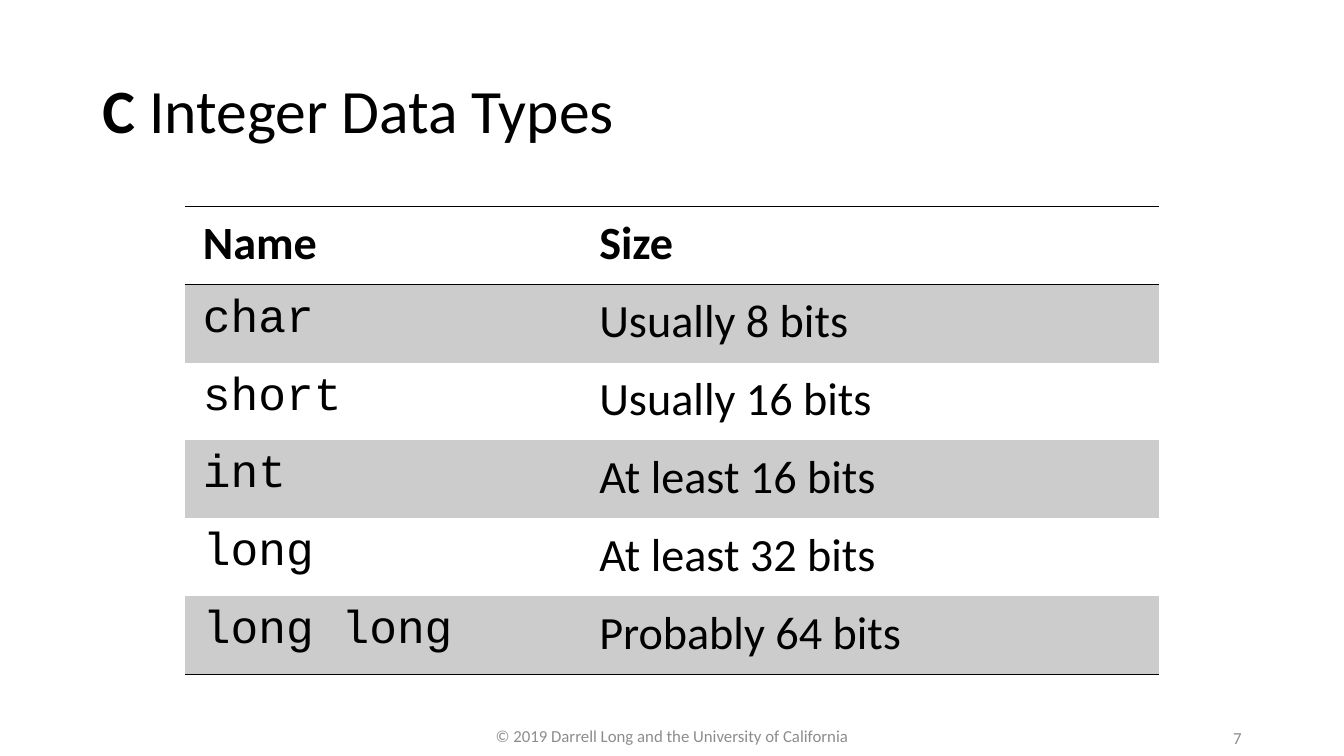
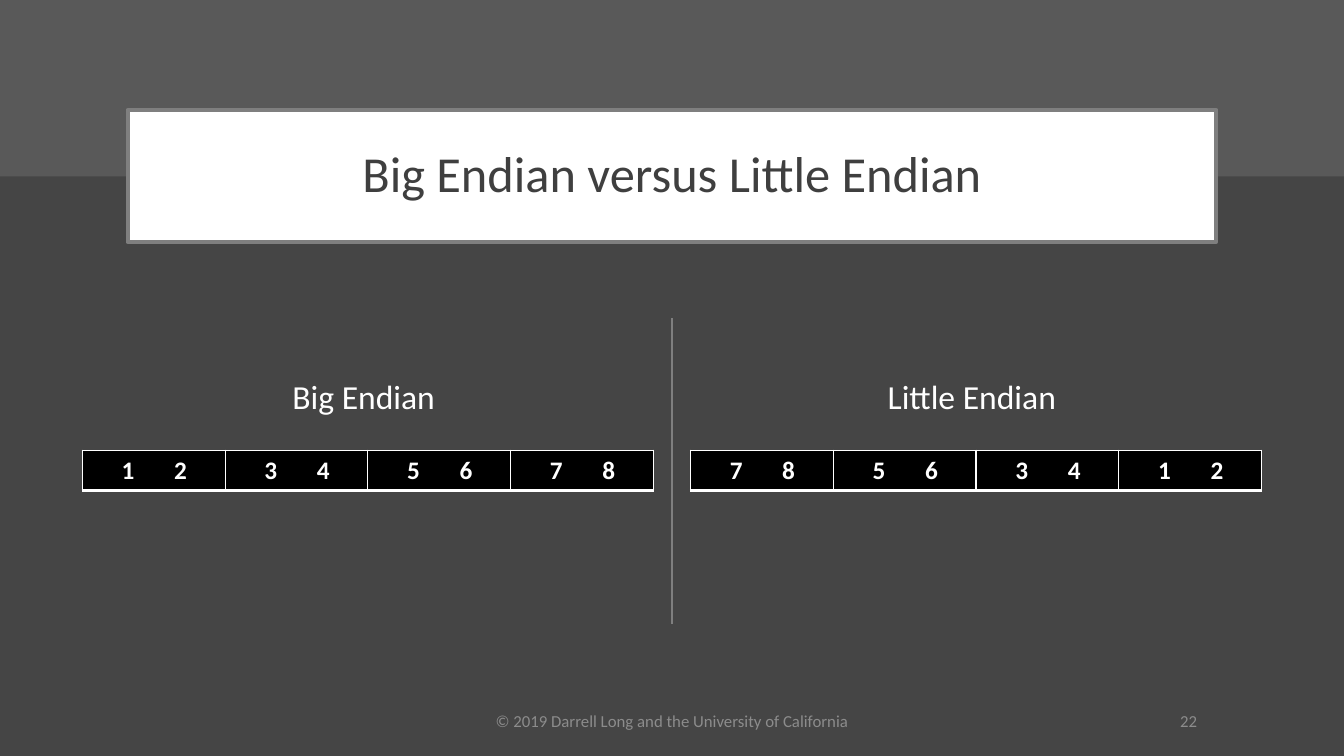
from dataclasses import dataclass

from lxml.etree import SubElement
from pptx import Presentation
from pptx.dml.color import RGBColor
from pptx.enum.shapes import MSO_CONNECTOR as Connector, MSO_SHAPE as Preset
from pptx.enum.text import MSO_ANCHOR as Anchor, MSO_AUTO_SIZE as AutoSize, PP_ALIGN as Align
from pptx.oxml import parse_xml
from pptx.oxml.ns import nsdecls, qn
from pptx.util import Inches, Pt


@dataclass(frozen=True)
class Theme:
    black: str = "000000"
    white: str = "FFFFFF"
    stripe: str = "CCCCCC"
    dark: str = "454545"
    band: str = "595959"
    rule: str = "7F7F7F"
    title_dark: str = "3F3F3F"
    footer: str = "8C8C8C"
    body_font: str = "Calibri"
    code_font: str = "Courier New"
    title_size: int = 44
    framed_title_size: int = 36
    table_size: int = 33
    label_size: int = 24
    byte_size: int = 18
    footer_size: int = 12


THEME = Theme()
WIDTH, HEIGHT = Inches(13.33), Inches(7.5)
COLUMNS, ROWS = 16, 9
COPYRIGHT = "© 2019 Darrell Long and the University of California"


@dataclass(frozen=True)
class Box:
    """A region measured in grid columns and rows."""
    left: float
    top: float
    width: float
    height: float

    def inner(self, left, top, width, height):
        return Box(self.left + left, self.top + top, width, height)

    @property
    def lengths(self):
        return (int(self.left * WIDTH / COLUMNS), int(self.top * HEIGHT / ROWS),
                int(self.width * WIDTH / COLUMNS), int(self.height * HEIGHT / ROWS))


def rgb(color):
    return RGBColor.from_string(color)


# Text
def write(frame, text, size, color=THEME.black, font=THEME.body_font, bold=False,
          bold_lead="", align=Align.LEFT, spacing=None, tab=None):
    paragraph = frame.paragraphs[0]
    if tab:
        tabs = SubElement(paragraph._p.get_or_add_pPr(), qn("a:tabLst"))
        SubElement(tabs, qn("a:tab"), pos=str(tab), algn="l")
    paragraph.alignment = align
    if spacing:
        paragraph.line_spacing = spacing
    for part, heavy in ((bold_lead, True), (text, bold)):
        if part:
            run = paragraph.add_run()
            run.text = part
            run.font.name = font
            run.font.size = Pt(size)
            run.font.bold = heavy
            run.font.color.rgb = rgb(color)


def add_text(slide, box, text, size, anchor=Anchor.MIDDLE, **text_format):
    frame = slide.shapes.add_textbox(*box.lengths).text_frame
    frame.word_wrap = True
    frame.vertical_anchor = anchor
    write(frame, text, size, **text_format)


def set_title(slide, box, text, size, **text_format):
    title = slide.shapes.title
    title.left, title.top, title.width, title.height = box.lengths
    frame = title.text_frame
    frame.word_wrap = True
    frame.auto_size = AutoSize.NONE
    frame.vertical_anchor = Anchor.MIDDLE
    write(frame, text, size, spacing=0.9, **text_format)
    return title


# Tables
def add_table(slide, box, row_count, shares):
    left, top, width, height = box.lengths
    table = slide.shapes.add_table(row_count, len(shares), left, top, width, height).table
    table.first_row = table.horz_banding = False
    for column, share in zip(table.columns, shares):
        column.width = int(width * share / sum(shares))
    for row in table.rows:
        row.height = height // row_count
    return table


def format_cell(cell, fill=None, borders=None, color=THEME.black, margins=(0.1, 0.05)):
    """Borders map a side (L, R, T, B) to a width in points."""
    cell.margin_left = cell.margin_right = Inches(margins[0])
    cell.margin_top = cell.margin_bottom = Inches(margins[1])
    if fill:
        cell.fill.solid()
        cell.fill.fore_color.rgb = rgb(fill)
    else:
        cell.fill.background()
    properties = cell._tc.get_or_add_tcPr()
    for index, side in enumerate("LRTB"):
        points = (borders or {}).get(side, 0)
        paint = (f'<a:solidFill><a:srgbClr val="{color}"/></a:solidFill>'
                 if points else "<a:noFill/>")
        line = f'<a:ln{side} {nsdecls("a")} w="{Pt(points)}">{paint}</a:ln{side}>'
        properties.insert(index, parse_xml(line))


def add_type_table(slide, box, header, types):
    rows = [header, *types]
    table = add_table(slide, box, len(rows), (3.93, 5.73))
    for row_index, row in enumerate(rows):
        is_header = row_index == 0
        borders = {"T": 1, "B": 1} if is_header else {}
        if row_index == 1:
            borders["T"] = 1
        if row_index == len(rows) - 1:
            borders["B"] = 1
        for column_index, text in enumerate(row):
            cell = table.cell(row_index, column_index)
            is_code = column_index == 0 and not is_header
            format_cell(cell, THEME.stripe if row_index % 2 else None, borders,
                        margins=(0.18, 0.09))
            write(cell.text_frame, text, THEME.table_size, bold=is_header,
                  font=THEME.code_font if is_code else THEME.body_font)


def add_byte_panel(slide, box, label, byte_pairs):
    add_text(slide, box.inner(0, 0, box.width - 0.1, 0.6), label, THEME.label_size,
             color=THEME.white, align=Align.CENTER, anchor=Anchor.TOP)
    table = add_table(slide, box.inner(0, 0.94, box.width, 0.48), 1, [1] * len(byte_pairs))
    for index, digits in enumerate(byte_pairs):
        cell = table.cell(0, index)
        format_cell(cell, THEME.black, {"L": 1, "R": 1, "T": 1, "B": 3}, THEME.white)
        cell.margin_left = Inches(0.39)
        write(cell.text_frame, "\t".join(digits), THEME.byte_size, color=THEME.white,
              bold=True, tab=Inches(0.52))


# Shared footer
def add_footer(slide, copyright_box, number_box, number):
    for box, text, align in ((copyright_box, COPYRIGHT, Align.CENTER),
                             (number_box, number, Align.RIGHT)):
        add_text(slide, box, text, THEME.footer_size, color=THEME.footer, align=align)


def new_slide(presentation, background):
    slide = presentation.slides.add_slide(presentation.slide_layouts[5])
    slide.background.fill.solid()
    slide.background.fill.fore_color.rgb = rgb(background)
    return slide


# Slides
def build_types_slide(presentation):
    slide = new_slide(presentation, THEME.white)
    set_title(slide, Box(1.1, 0.48, 13.8, 1.74), " Integer Data Types",
              THEME.title_size, bold_lead="C")
    add_type_table(slide, Box(2.2, 2.46, 11.6, 5.57), ("Name", "Size"), [
        ("char", "Usually 8 bits"),
        ("short", "Usually 16 bits"),
        ("int", "At least 16 bits"),
        ("long", "At least 32 bits"),
        ("long long", "Probably 64 bits"),
    ])
    add_footer(slide, Box(5.3, 8.52, 5.4, 0.48), Box(11.3, 8.54, 3.6, 0.48), "7")


def build_endian_slide(presentation):
    slide = new_slide(presentation, THEME.dark)

    # Top band, behind the framed title
    band = slide.shapes.add_shape(Preset.RECTANGLE, *Box(0, 0, COLUMNS, 2.1).lengths)
    band.shadow.inherit = False
    band.fill.solid()
    band.fill.fore_color.rgb = rgb(THEME.band)
    band.line.fill.background()
    slide.shapes.title._element.addprevious(band._element)

    title = set_title(slide, Box(1.52, 1.31, 12.96, 1.57), "Big Endian versus Little Endian",
                      THEME.framed_title_size, color=THEME.title_dark, align=Align.CENTER)
    title.fill.solid()
    title.fill.fore_color.rgb = rgb(THEME.white)
    title.line.color.rgb = rgb(THEME.rule)
    title.line.width = Pt(3)

    # Mirrored panels on both sides of the divider
    margin, panel_width = 0.98, 6.8
    byte_pairs = ["12", "34", "56", "78"]
    for left, label, pairs in (
            (margin, "Big Endian", byte_pairs),
            (COLUMNS - margin - panel_width, "Little Endian", byte_pairs[::-1])):
        add_byte_panel(slide, Box(left, 4.42, panel_width, 1.42), label, pairs)

    left, top, _, height = Box(COLUMNS / 2, 3.79, 0, 3.64).lengths
    divider = slide.shapes.add_connector(Connector.STRAIGHT, left, top, left, top + height)
    divider.line.color.rgb = rgb(THEME.rule)
    divider.line.width = Pt(1.5)
    SubElement(divider._element.spPr, qn("a:effectLst"))

    add_footer(slide, Box(5.3, 8.34, 5.4, 0.48), Box(11.3, 8.34, 3.07, 0.48), "22")


def main():
    presentation = Presentation()
    presentation.slide_width, presentation.slide_height = WIDTH, HEIGHT
    build_types_slide(presentation)
    build_endian_slide(presentation)
    presentation.save("out.pptx")


if __name__ == "__main__":
    main()
